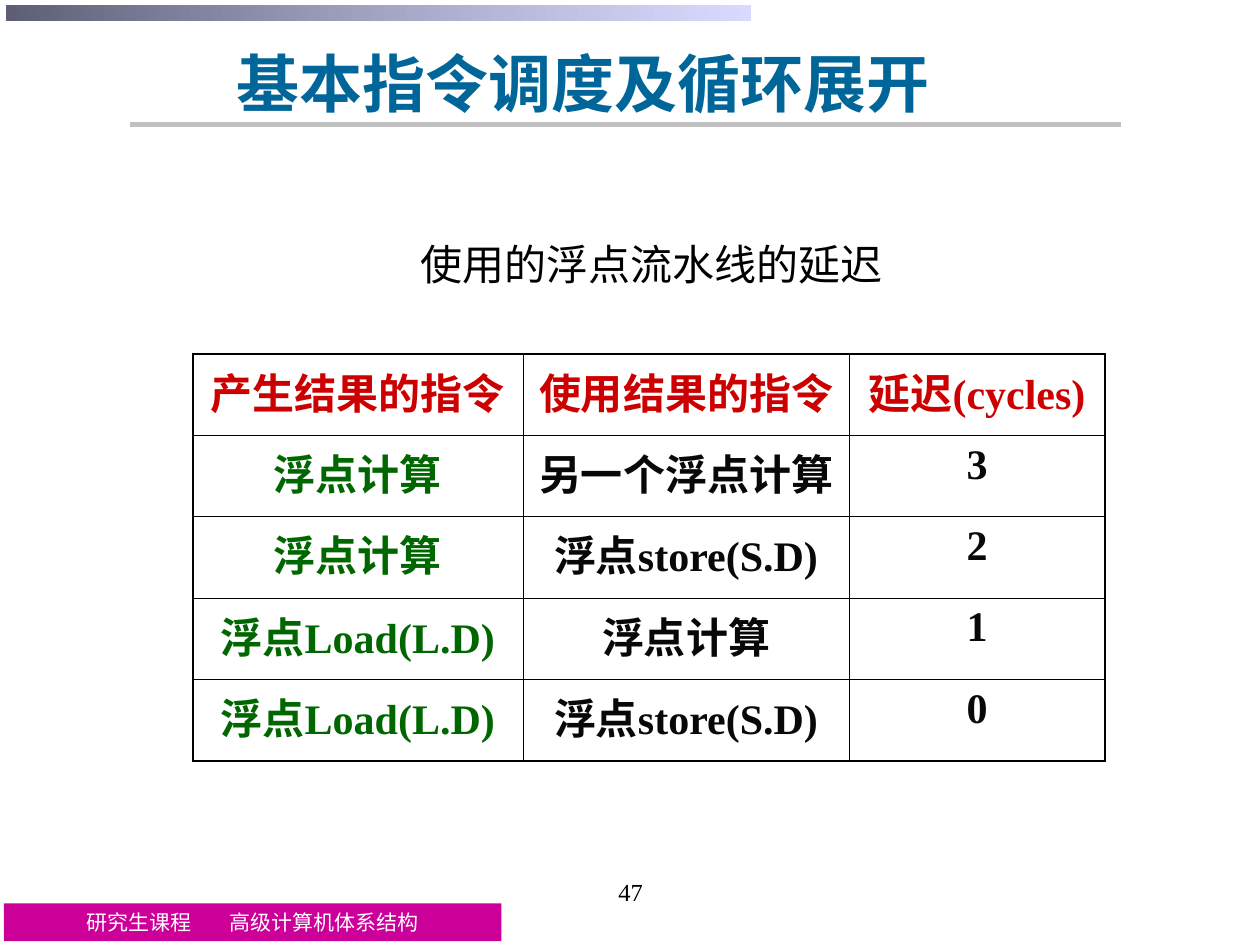
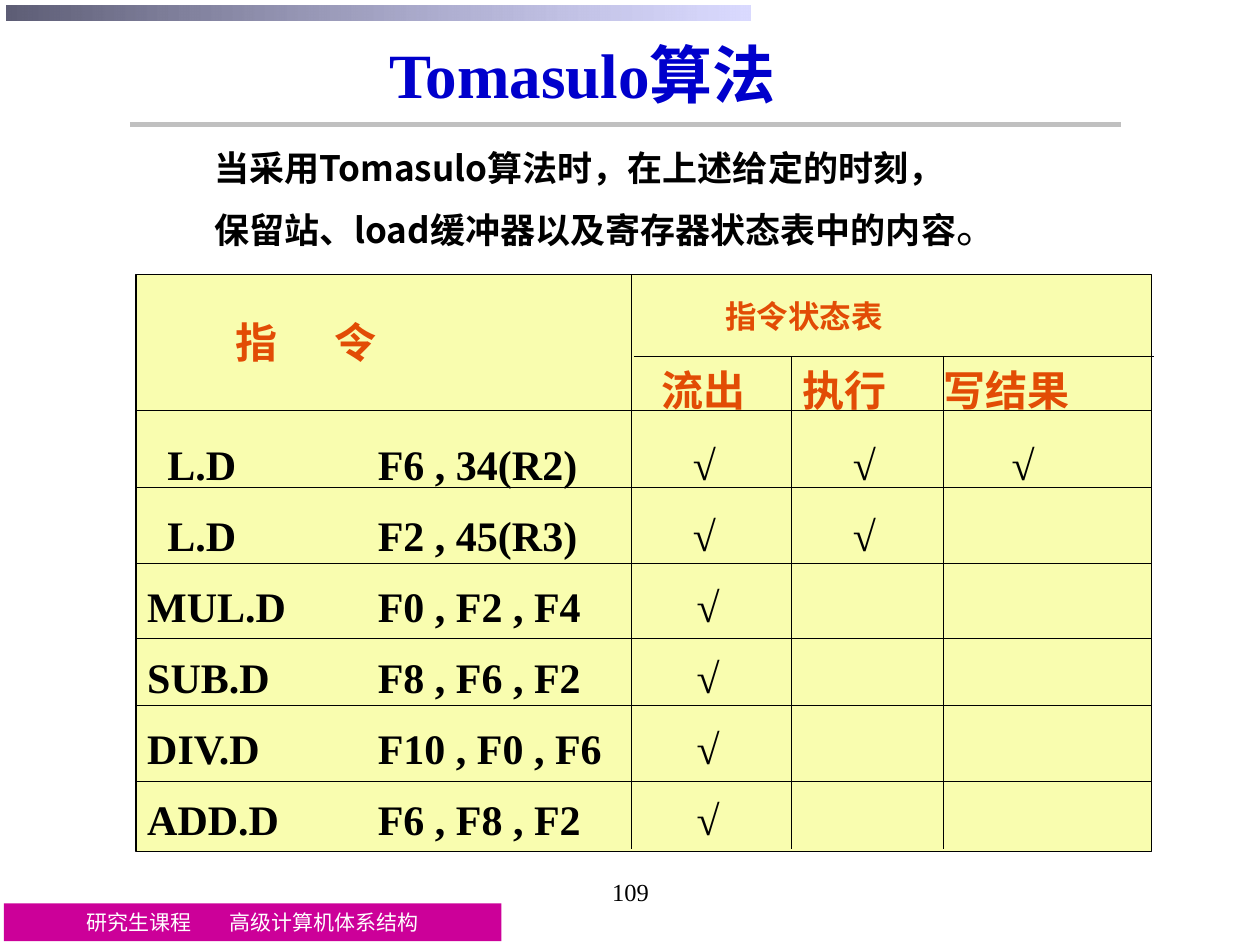
from lxml.etree import SubElement
from pptx import Presentation
from pptx.dml.color import RGBColor
from pptx.enum.shapes import MSO_CONNECTOR as CONN, MSO_SHAPE as SHAPE
from pptx.enum.text import MSO_ANCHOR as ANCHOR, MSO_AUTO_SIZE as AUTO, PP_ALIGN as ALIGN
from pptx.oxml.ns import qn
from pptx.util import Inches, Pt

SERIF, SANS = "Times New Roman", "Noto Sans CJK SC"
BLACK, WHITE, MAGENTA, GREY = "000000", "FFFFFF", "CC0099", "C0C0C0"
RED, GREEN, INK = "CC0000", "006600", "080808"
ORANGE, CREAM = "E24C05", "F9FDAF"
TITLE_BOX = (0.5, 0.17, 8.25, 0.83)
FOOTER_BOX = (0.03, 7.17, 3.95, 0.3)
NUMBER_BOX = (3.42, 6.91, 3.17, 0.5)
PLAIN_TABLE = "{2D5ABB26-0587-4C30-8999-92F81FD0307C}"

LATENCIES = [
    ("产生结果的指令", "使用结果的指令", "延迟(cycles)"),
    ("浮点计算", "另一个浮点计算", "3"),
    ("浮点计算", "浮点store(S.D)", "2"),
    ("浮点Load(L.D)", "浮点计算", "1"),
    ("浮点Load(L.D)", "浮点store(S.D)", "0"),
]
INSTRUCTIONS = [
    ("L.D", "F6 , 34(R2)", 3),
    ("L.D", "F2 , 45(R3)", 2),
    ("MUL.D", "F0 , F2 , F4", 1),
    ("SUB.D", "F8 , F6 , F2", 1),
    ("DIV.D", "F10 , F0 , F6", 1),
    ("ADD.D", "F6 , F8 , F2", 1),
]


def rgb(code):
    """Turn a hex string into a colour."""
    return RGBColor.from_string(code)


def inches(box):
    """Turn a box of numbers into lengths."""
    return [Inches(v) for v in box]


def set_margins(target, left=0.0, top=0.0, right=0.0, bottom=0.0):
    """Set the four insets of a text frame or a cell."""
    target.margin_left, target.margin_top = Inches(left), Inches(top)
    target.margin_right, target.margin_bottom = Inches(right), Inches(bottom)


def write(p, text, size, color=BLACK, font=SERIF, bold=False, align=ALIGN.LEFT, tabs=()):
    """Fill and format one paragraph, with optional tab stops."""
    p.text = text
    p.alignment = align
    if tabs:
        stops = SubElement(p._p.get_or_add_pPr(), qn("a:tabLst"))
        for tab in tabs:
            SubElement(stops, qn("a:tab"), pos=str(Inches(tab)), algn="l")
    f = p.font
    f.name, f.size, f.bold, f.color.rgb = font, Pt(size), bold, rgb(color)


def add_text_box(slide, box, left=0.0):
    """Add a wrapping text box and return its frame."""
    tf = slide.shapes.add_textbox(*inches(box)).text_frame
    tf.word_wrap = True
    set_margins(tf, left, 0.05, 0, 0.05)
    return tf


def add_box(slide, box, fill=None):
    """Add a rectangle without outline or shadow."""
    sp = slide.shapes.add_shape(SHAPE.RECTANGLE, *inches(box))
    sp.shadow.inherit = False
    sp.line.fill.background()
    if fill:
        sp.fill.solid()
        sp.fill.fore_color.rgb = rgb(fill)
    return sp


def add_line(slide, x1, y1, x2, y2, color=BLACK, width=0.75):
    """Add a straight line without shadow."""
    line = slide.shapes.add_connector(CONN.STRAIGHT, *inches((x1, y1, x2, y2)))
    line.line.color.rgb = rgb(color)
    line.line.width = Pt(width)
    SubElement(line._element.spPr, qn("a:effectLst"))


def add_footer(slide, box):
    """Add the course band."""
    tf = add_box(slide, box, MAGENTA).text_frame
    tf.vertical_anchor = ANCHOR.MIDDLE
    set_margins(tf, left=0.66)
    write(tf.paragraphs[0], "研究生课程\t高级计算机体系结构", 12, WHITE, tabs=[1.13])


def add_top_band(slide, box):
    """Add the fading band along the top edge."""
    sp = add_box(slide, box)
    sp.fill.gradient()
    sp.fill.gradient_angle = 0
    for stop, color in zip(sp.fill.gradient_stops, ("5E5E76", "CCCCFF")):
        stop.color.rgb = rgb(color)
    SubElement(sp._element.xpath(".//a:srgbClr")[-1], qn("a:alpha"), val="72000")


def add_slide(prs, title, number, color, font, anchor):
    """Add a slide with the shared frame, title and page number."""
    slide = prs.slides.add_slide(prs.slide_layouts[5])
    add_footer(slide, FOOTER_BOX)
    add_top_band(slide, (0.05, 0.04, 5.91, 0.12))
    add_line(slide, 1.03, 0.99, 8.9, 0.99, GREY, 2.75)
    tf = add_text_box(slide, NUMBER_BOX)
    write(tf.paragraphs[0], number, 14, align=ALIGN.CENTER)
    sp = slide.shapes.title
    sp.left, sp.top, sp.width, sp.height = inches(TITLE_BOX)
    tf = sp.text_frame
    tf.auto_size, tf.vertical_anchor = AUTO.NONE, anchor
    set_margins(tf, top=0.05, bottom=0.05)
    write(tf.paragraphs[0], title, 36, color, font, True, ALIGN.CENTER)
    return slide


def set_borders(cell, **widths):
    """Draw black borders of the given widths on the sides L, R, T and B."""
    tc_pr = cell._tc.get_or_add_tcPr()
    for side in "LRTB":
        ln = SubElement(tc_pr, qn(f"a:ln{side}"), w=str(Pt(widths[side])))
        SubElement(SubElement(ln, qn("a:solidFill")), qn("a:srgbClr"), val=BLACK)


def add_latency_table(slide, box):
    """Add the table of pipeline latencies."""
    rows = len(LATENCIES)
    table = slide.shapes.add_table(rows, 3, *inches(box)).table
    table._tbl.tblPr.find(qn("a:tableStyleId")).text = PLAIN_TABLE
    table.first_row = table.horz_banding = False
    for col, width in zip(table.columns, (2.62, 2.59, 2.03)):
        col.width = Inches(width)
    outer, inner = 1.08, 0.45
    for i, texts in enumerate(LATENCIES):
        table.rows[i].height = Inches(box[3] / rows)
        for j, (text, color) in enumerate(zip(texts, (GREEN, INK, INK))):
            cell = table.cell(i, j)
            set_borders(cell, L=inner if j else outer, R=outer if j == 2 else inner,
                        T=inner if i else outer, B=outer if i == rows - 1 else inner)
            cell.fill.background()
            set_margins(cell, 0.1, 0.05, 0.1, 0.05)
            write(cell.text_frame.paragraphs[0], text, 24, color if i else RED,
                  bold=True, align=ALIGN.CENTER)


def add_status_headings(slide, left, top):
    """Add the headings of the status panel."""
    tf = add_text_box(slide, (left + 0.69, top + 0.28, 2.6, 0.54), 0.1)
    write(tf.paragraphs[0], "指\t令", 24, ORANGE, SANS, True, tabs=[0.79])
    tf = add_text_box(slide, (left + 4.07, top + 0.13, 4.34, 1.01), 0.1)
    heading, stages = tf.paragraphs[0], tf.add_paragraph()
    stages.space_before = Pt(17)
    write(heading, "\t指令状态表", 18, ORANGE, SANS, True, tabs=[0.51])
    write(stages, "流出\t执行\t写结果", 24, ORANGE, bold=True, tabs=[1.12, 2.24])


def add_instruction_list(slide, box):
    """Add the instructions with their check marks."""
    tf = add_text_box(slide, box, 0.1)
    for i, (opcode, operands, checks) in enumerate(INSTRUCTIONS):
        p = tf.add_paragraph() if i else tf.paragraphs[0]
        p.line_spacing = 1.2
        if i:
            p.space_before = Pt(6)
        indent = 0.33 if opcode == "L.D" else 0.17
        first_check = 4.5 if checks > 1 else 4.53
        write(p, f"\t{opcode}\t{operands}" + "\t√" * checks, 24, bold=True,
              tabs=[indent, 2, first_check, 5.77, 7.03])


def add_status_panel(slide, box):
    """Add the ruled panel of instruction states."""
    left, top, width, height = box
    right, bottom = left + width, top + height
    panel = add_box(slide, box, CREAM)
    panel.line.color.rgb = rgb(BLACK)
    panel.line.width = Pt(0.75)
    add_status_headings(slide, left, top)
    add_instruction_list(slide, (left - 0.18, top + 1.17, 8.41, 4.06))
    for dy in (1.08, 1.69, 2.29, 2.89, 3.42, 4.02):
        add_line(slide, left, top + dy, right, top + dy)
    add_line(slide, left + 3.95, top + 0.65, right + 0.02, top + 0.65)
    for dx, dy in ((3.93, 0), (5.2, 0.65), (6.41, 0.65)):
        add_line(slide, left + dx, top + dy, left + dx, bottom - 0.02)


def add_intro(slide, box):
    """Add the two lines above the status panel."""
    tf = add_text_box(slide, box, 0.48)
    first, second = tf.paragraphs[0], tf.add_paragraph()
    first.line_spacing, second.line_spacing = 0.9, 0.7
    second.space_before = Pt(15)
    write(first, "当采用Tomasulo算法时，在上述给定的时刻，", 20, font=SANS, bold=True)
    write(second, "保留站、load缓冲器以及寄存器状态表中的内容", 20, font=SANS, bold=True)
    r = second.add_run()
    r.text = "。"
    r.font.name, r.font.size, r.font.bold = "Roboto", Pt(24), False


def build_latency_slide(prs):
    """Build the slide on pipeline latencies."""
    slide = add_slide(prs, "基本指令调度及循环展开", "47", "006699", SANS, ANCHOR.BOTTOM)
    tf = add_text_box(slide, (0.92, 1.84, 8.5, 0.55))
    write(tf.paragraphs[0], "使用的浮点流水线的延迟", 24, align=ALIGN.CENTER)
    add_latency_table(slide, (1.53, 2.81, 7.24, 3.23))


def build_tomasulo_slide(prs):
    """Build the slide on instruction states."""
    slide = add_slide(prs, "Tomasulo算法", "109", "0000CC", SERIF, ANCHOR.MIDDLE)
    add_intro(slide, (1.22, 1.15, 7.64, 0.89))
    add_status_panel(slide, (1.08, 2.18, 8.06, 4.58))


def main():
    """Build and save the presentation."""
    prs = Presentation()
    prs.slide_width, prs.slide_height = Inches(10), Inches(7.5)
    build_latency_slide(prs)
    build_tomasulo_slide(prs)
    prs.save("out.pptx")


if __name__ == "__main__":
    main()
